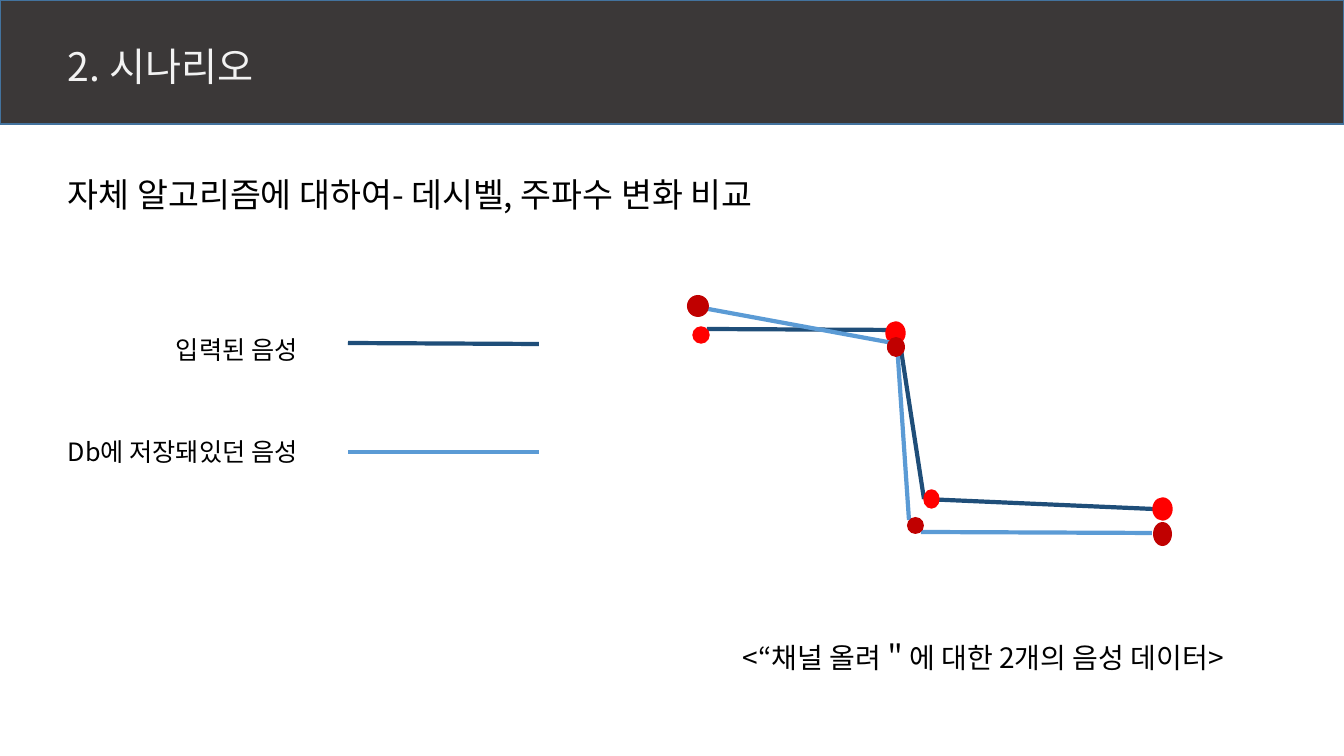
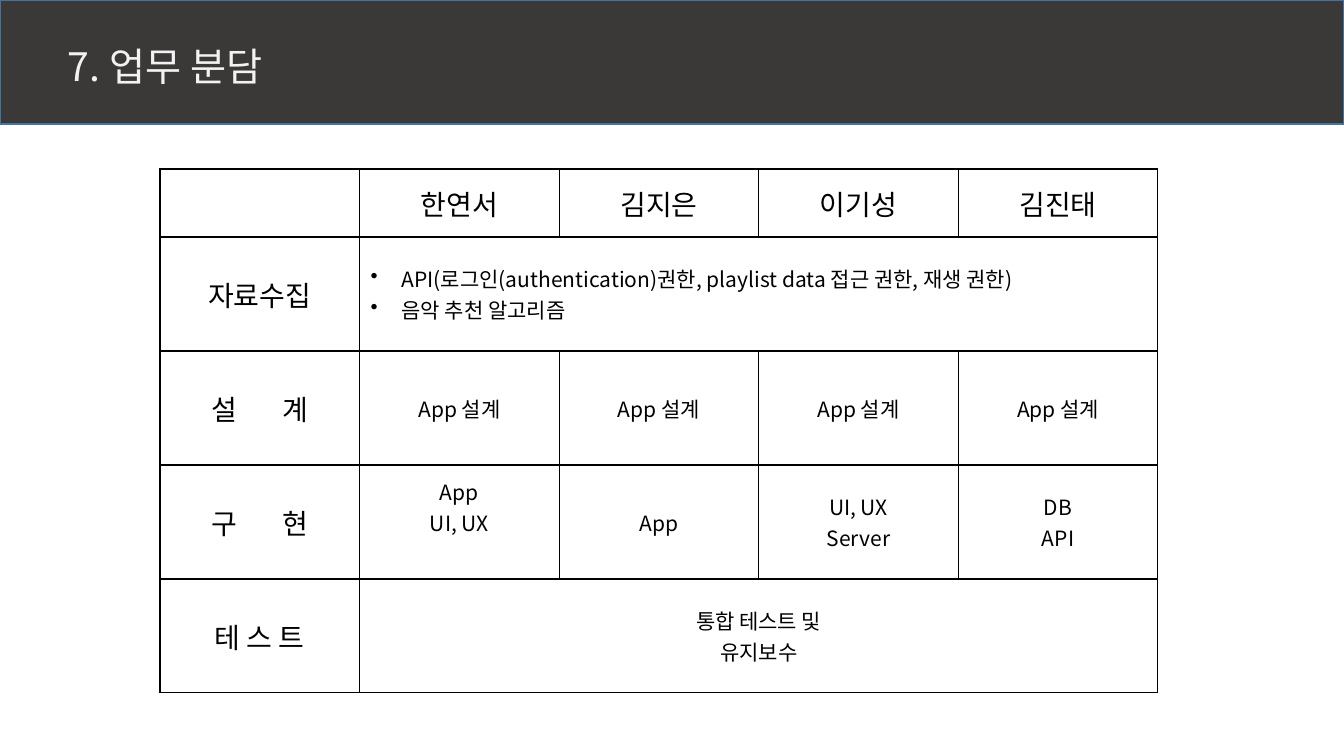
from dataclasses import dataclass
from itertools import product

from lxml.etree import SubElement
from pptx import Presentation
from pptx.dml.color import RGBColor
from pptx.enum.shapes import MSO_CONNECTOR, MSO_SHAPE
from pptx.enum.text import MSO_ANCHOR, PP_ALIGN
from pptx.oxml import parse_xml
from pptx.oxml.ns import nsdecls, qn
from pptx.util import Pt


@dataclass(frozen=True)
class Theme:
    font: str = "Noto Sans CJK KR"
    ink: str = "000000"
    paper: str = "FFFFFF"
    band: str = "3B3838"
    band_edge: str = "43739E"
    title_ink: str = "F2F2F2"
    input_line: str = "1F4E79"
    input_dot: str = "FF0000"
    stored_line: str = "5B9BD5"
    stored_dot: str = "C00000"
    title: int = 28
    subject: int = 24
    label: int = 20
    legend: int = 18
    body: int = 15
    stroke: int = 3
    hairline: int = 1


T = Theme()
SLIDE_W, SLIDE_H = 1344, 756
EMU_PER_PX = 12192000 / SLIDE_W
LEFT = 58
LETTER_GAP = 28

INPUT_PATH = [((1153, 509), (924, 499)), ((924, 499), (898, 330)), ((898, 330), (707, 329))]
INPUT_DOTS = [(1153, 498, 19, 22), (924, 490, 15, 18), (693, 327, 16, 16), (886, 322, 19, 22)]
STORED_PATH = [((1152, 533), (921, 532)), ((909, 520), (897, 343)), ((893, 343), (692, 306))]
STORED_DOTS = [(907, 517, 17, 17), (687, 295, 22, 22), (887, 337, 18, 20), (1153, 522, 19, 24)]

MEMBERS = ["한연서", "김지은", "이기성", "김진태"]
RESEARCH = ["API(로그인(authentication)권한, playlist data 접근 권한, 재생 권한)", "음악 추천 알고리즘"]
BUILD = [["App", "UI, UX"], ["App"], ["UI, UX", "Server"], ["DB", "API"]]
TEST = ["통합 테스트 및", "유지보수"]
TASKS = [
    ("자료수집", [RESEARCH]),
    ("설 계", [["App 설계"]] * len(MEMBERS)),
    ("구 현", BUILD),
    ("테 스 트", [TEST]),
]


def px(n):
    return round(n * EMU_PER_PX)


def box(*lengths):
    return [px(n) for n in lengths]


def rgb(color):
    return RGBColor.from_string(color)


def style(p, size, color=T.ink):
    p.font.size = Pt(size)
    p.font.color.rgb = rgb(color)
    p.font.name = T.font
    props = p._p.get_or_add_pPr().find(qn("a:defRPr"))
    SubElement(props, qn("a:ea")).set("typeface", T.font)


def add_text(s, at, text, size, color=T.ink):
    tf = s.shapes.add_textbox(*box(*at)).text_frame
    tf.word_wrap = True
    p = tf.paragraphs[0]
    p.text = text
    style(p, size, color)
    return tf


def add_preset(s, kind, at, fill, edge=None):
    sp = s.shapes.add_shape(kind, *box(*at))
    sp.shadow.inherit = False
    sp.fill.solid()
    sp.fill.fore_color.rgb = rgb(fill)
    if edge:
        sp.line.color.rgb = rgb(edge)
        sp.line.width = Pt(T.hairline)
    else:
        sp.line.fill.background()


def add_line(s, start, end, color):
    line = s.shapes.add_connector(MSO_CONNECTOR.STRAIGHT, *box(*start, *end))
    line.line.color.rgb = rgb(color)
    line.line.width = Pt(T.stroke)
    SubElement(line._element.spPr, qn("a:effectLst"))


def add_series(s, segments, dots, color, fill, edge=None):
    for start, end in segments:
        add_line(s, start, end, color)
    for at in dots:
        add_preset(s, MSO_SHAPE.OVAL, at, fill, edge)


def add_slide(prs, title):
    s = prs.slides.add_slide(prs.slide_layouts[6])
    add_preset(s, MSO_SHAPE.RECTANGLE, (0, 0, SLIDE_W, 124), T.band, T.band_edge)
    tf = add_text(s, (LEFT, 31, 636, 64), title, T.title, T.title_ink)
    tf.vertical_anchor = MSO_ANCHOR.BOTTOM
    tf.paragraphs[0].line_spacing = 0.9
    return s


def format_cell(cell):
    cell.fill.solid()
    cell.fill.fore_color.rgb = rgb(T.paper)
    cell.vertical_anchor = MSO_ANCHOR.MIDDLE
    cell.margin_left = cell.margin_right = px(11)
    cell.margin_top = cell.margin_bottom = px(5)
    tc_pr = cell._tc.get_or_add_tcPr()
    for i, side in enumerate("LRTB"):
        tc_pr.insert(i, parse_xml(
            f'<a:ln{side} {nsdecls("a")} w="{Pt(T.hairline)}"><a:solidFill>'
            f'<a:srgbClr val="{T.ink}"/></a:solidFill></a:ln{side}>'))


def fill_cell(cell, lines, size):
    tf = cell.text_frame
    tf.text = "\n".join(lines)
    for p in tf.paragraphs:
        p.alignment = PP_ALIGN.CENTER
        style(p, size)


def add_bullets(cell):
    for p in cell.text_frame.paragraphs:
        p.alignment = PP_ALIGN.LEFT
        props = p._p.get_or_add_pPr()
        props.set("marL", str(px(31)))
        props.set("indent", str(-px(31)))
        props.insert(0, parse_xml(f'<a:buChar {nsdecls("a")} char="•"/>'))


def widen_gap(cell):
    p = cell.text_frame.paragraphs[0]
    first, last = p.text.split()
    p.clear()
    for text in (first, " ", last):
        r = p.add_run()
        r.text = text
        if text == " ":
            r._r.get_or_add_rPr().set("spc", str(LETTER_GAP * 100))


def add_task_table(s):
    rows, cols = len(TASKS) + 1, len(MEMBERS) + 1
    head_h, row_h = 68, 114
    at = box(160, 169, 998, head_h + row_h * len(TASKS))
    table = s.shapes.add_table(rows, cols, *at).table
    table.first_row = table.horz_banding = False
    for i, row in enumerate(table.rows):
        row.height = px(row_h if i else head_h)
    for i, j in product(range(rows), range(cols)):
        format_cell(table.cell(i, j))
    for j, member in enumerate(MEMBERS, 1):
        fill_cell(table.cell(0, j), [member], T.label)
    for i, (task, entries) in enumerate(TASKS, 1):
        fill_cell(table.cell(i, 0), [task], T.label)
        if len(entries) == 1:
            table.cell(i, 1).merge(table.cell(i, cols - 1))
        for j, lines in enumerate(entries, 1):
            fill_cell(table.cell(i, j), lines, T.body)
    add_bullets(table.cell(1, 1))
    for i in (2, 3):
        widen_gap(table.cell(i, 0))
    table.cell(3, 1).margin_bottom = px(35)


def build_scenario(prs):
    s = add_slide(prs, "2. 시나리오")
    add_text(s, (LEFT, 169, 718, 50), "자체 알고리즘에 대하여- 데시벨, 주파수 변화 비교", T.subject)
    add_series(s, INPUT_PATH, INPUT_DOTS, T.input_line, T.input_dot, T.input_dot)
    add_series(s, STORED_PATH, STORED_DOTS, T.stored_line, T.stored_dot)
    add_text(s, (733, 636, 503, 44), "<“채널 올려＂에 대한 2개의 음성 데이터>", T.label)
    add_text(s, (166, 329, 142, 40), "입력된 음성", T.legend)
    add_line(s, (539, 344), (348, 343), T.input_line)
    add_text(s, (LEFT, 431, 260, 40), "Db에 저장돼있던 음성", T.legend)
    add_line(s, (539, 452), (348, 452), T.stored_line)


def build_roles(prs):
    add_task_table(add_slide(prs, "7. 업무 분담"))


def main():
    prs = Presentation()
    prs.slide_width, prs.slide_height = box(SLIDE_W, SLIDE_H)
    build_scenario(prs)
    build_roles(prs)
    prs.save("out.pptx")


if __name__ == "__main__":
    main()
